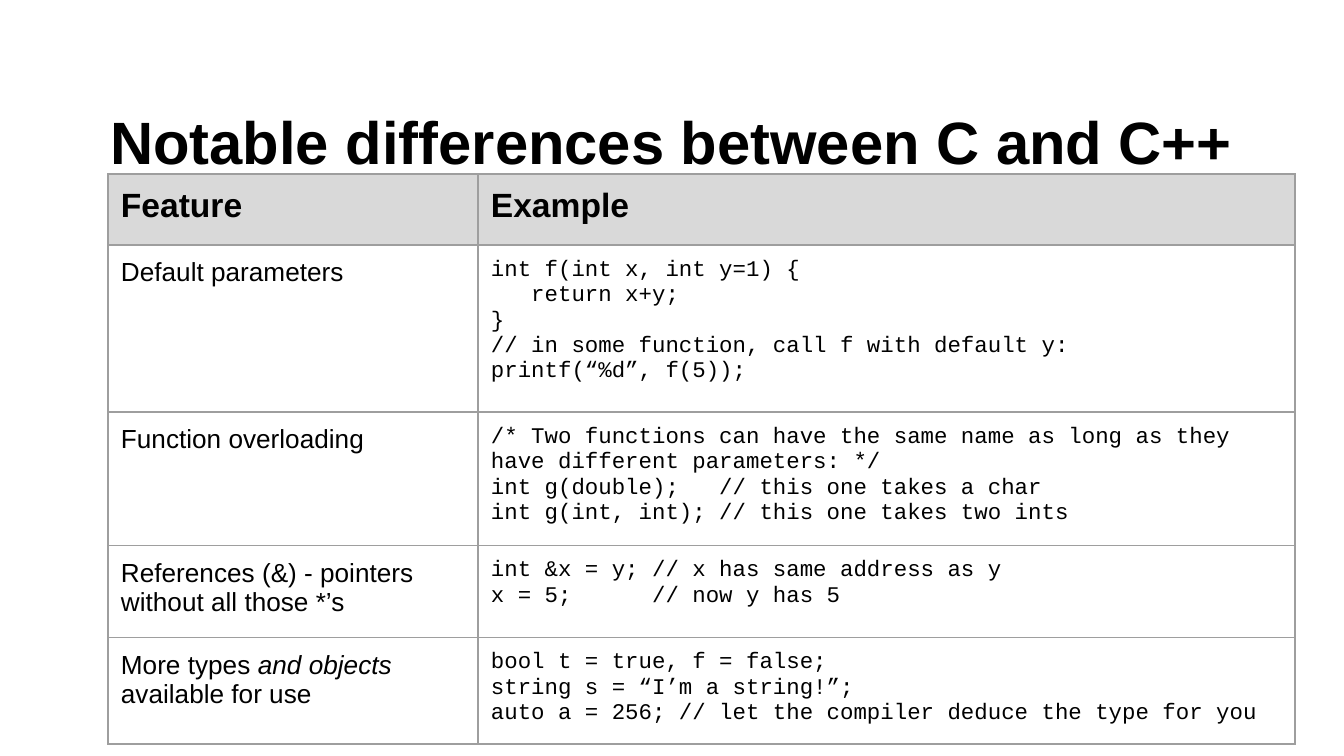
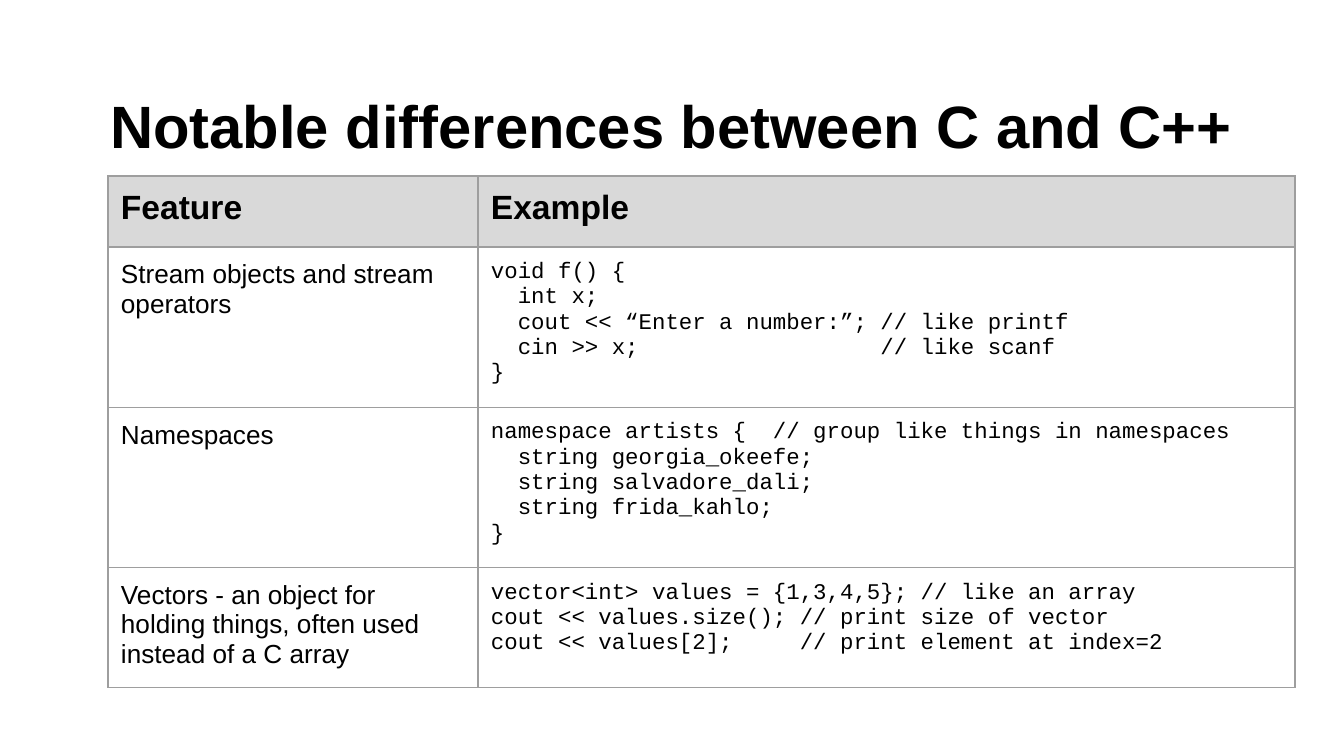
from dataclasses import dataclass

from lxml.etree import SubElement
from pptx import Presentation
from pptx.dml.color import RGBColor
from pptx.enum.text import MSO_ANCHOR, PP_ALIGN
from pptx.oxml.ns import qn
from pptx.util import Emu, Pt

PX = 914400 / 134.4


def px(count):
    return Emu(round(count * PX))


@dataclass(frozen=True)
class Theme:
    ink: str = "000000"
    paper: str = "FFFFFF"
    header: str = "D9D9D9"
    border: str = "9E9E9E"
    border_width: int = Pt(0.75)
    sans: str = "Arial"
    mono: str = "Courier New"
    title_size: int = 32
    header_size: int = 18
    feature_size: int = 14
    code_size: int = 12
    inset: int = 13


class SlideBuilder:
    def __init__(self, deck, theme):
        self.deck, self.theme, self.page = deck, theme, None

    def new_page(self):
        self.page = self.deck.slides.add_slide(self.deck.slide_layouts[6])
        fill = self.page.background.fill
        fill.solid()
        fill.fore_color.rgb = RGBColor.from_string(self.theme.paper)

    def set_margins(self, target):
        for side in ("left", "top", "right", "bottom"):
            setattr(target, f"margin_{side}", px(self.theme.inset))

    def fill_text(self, frame, text, size, font, bold=False, align=PP_ALIGN.LEFT):
        """Add one paragraph per line; text between bars is italic."""
        frame.word_wrap = True
        for index, line in enumerate(text.splitlines()):
            para = frame.add_paragraph() if index else frame.paragraphs[0]
            para.alignment = align
            for part, words in enumerate(line.split("|")):
                span = para.add_run()
                span.text = words
                look = {"name": font, "size": Pt(size), "bold": bold,
                        "italic": part % 2 == 1}
                for name, value in look.items():
                    setattr(span.font, name, value)
                span.font.color.rgb = RGBColor.from_string(self.theme.ink)

    def title(self, text, top):
        box = self.page.shapes.add_textbox(px(67), px(top), px(1210), px(118))
        self.set_margins(box.text_frame)
        box.text_frame.vertical_anchor = MSO_ANCHOR.MIDDLE
        self.fill_text(box.text_frame, text, self.theme.title_size,
                       self.theme.sans, True, PP_ALIGN.CENTER)

    def outline(self, cell):
        properties = cell._tc.get_or_add_tcPr()
        for side in ("lnL", "lnR", "lnT", "lnB"):
            line = SubElement(properties, qn(f"a:{side}"),
                              w=str(int(self.theme.border_width)))
            solid = SubElement(line, qn("a:solidFill"))
            SubElement(solid, qn("a:srgbClr"), val=self.theme.border)

    def table(self, rows, top, heights, widths=(370, 817)):
        theme = self.theme
        grid = self.page.shapes.add_table(
            len(rows), len(widths), px(108), px(top),
            px(sum(widths)), px(sum(heights))).table
        grid.first_row = grid.horz_banding = False
        for column, width in zip(grid.columns, widths):
            column.width = px(width)
        header_style = (theme.header_size, theme.sans, True)
        body_styles = ((theme.feature_size, theme.sans),
                       (theme.code_size, theme.mono))
        for r, (texts, height) in enumerate(zip(rows, heights)):
            grid.rows[r].height = px(height)
            for c, text in enumerate(texts):
                cell = grid.cell(r, c)
                self.set_margins(cell)
                self.outline(cell)
                cell.fill.solid()
                cell.fill.fore_color.rgb = RGBColor.from_string(
                    theme.paper if r else theme.header)
                style = body_styles[c] if r else header_style
                self.fill_text(cell.text_frame, text, *style)


TITLE = "Notable differences between C and C++"
HEADER = ("Feature", "Example")

LANGUAGE_BASICS = [
    ("Default parameters", """\
int f(int x, int y=1) {
   return x+y;
}
// in some function, call f with default y:
printf(“%d”, f(5));"""),
    ("Function overloading", """\
/* Two functions can have the same name as long as they have different parameters: */
int g(double);   // this one takes a char
int g(int, int); // this one takes two ints"""),
    ("References (&) - pointers without all those *’s", """\
int &x = y; // x has same address as y
x = 5;      // now y has 5"""),
    ("More types |and objects| available for use", """\
bool t = true, f = false;
string s = “I’m a string!”;
auto a = 256; // let the compiler deduce the type for you"""),
]

LIBRARY_FEATURES = [
    ("Stream objects and stream operators", """\
void f() {
  int x;
  cout << “Enter a number:”; // like printf
  cin >> x;                  // like scanf
}"""),
    ("Namespaces", """\
namespace artists {  // group like things in namespaces
  string georgia_okeefe;
  string salvadore_dali;
  string frida_kahlo;
}"""),
    ("Vectors - an object for holding things, often used instead of a C array", """\
vector<int> values = {1,3,4,5}; // like an array
cout << values.size(); // print size of vector
cout << values[2];     // print element at index=2"""),
]

# Title top, table top, row heights, table body
PAGES = [
    (82, 174, (71, 167, 128, 92, 103), LANGUAGE_BASICS),
    (66, 176, (71, 155, 153, 115), LIBRARY_FEATURES),
]


def main():
    deck = Presentation()
    deck.slide_width, deck.slide_height = px(1344), px(756)
    builder = SlideBuilder(deck, Theme())
    for title_top, table_top, heights, body in PAGES:
        builder.new_page()
        builder.title(TITLE, title_top)
        builder.table([HEADER, *body], table_top, heights)
    deck.save("out.pptx")


if __name__ == "__main__":
    main()
